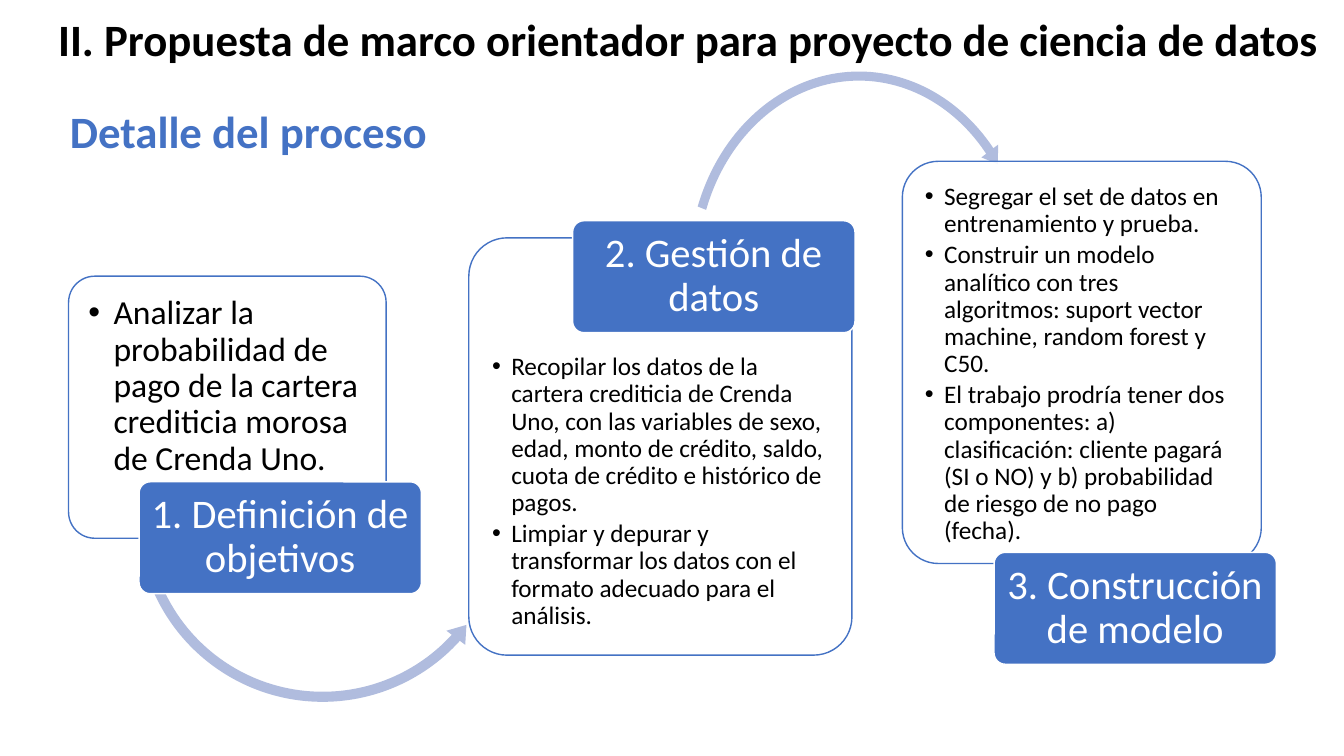
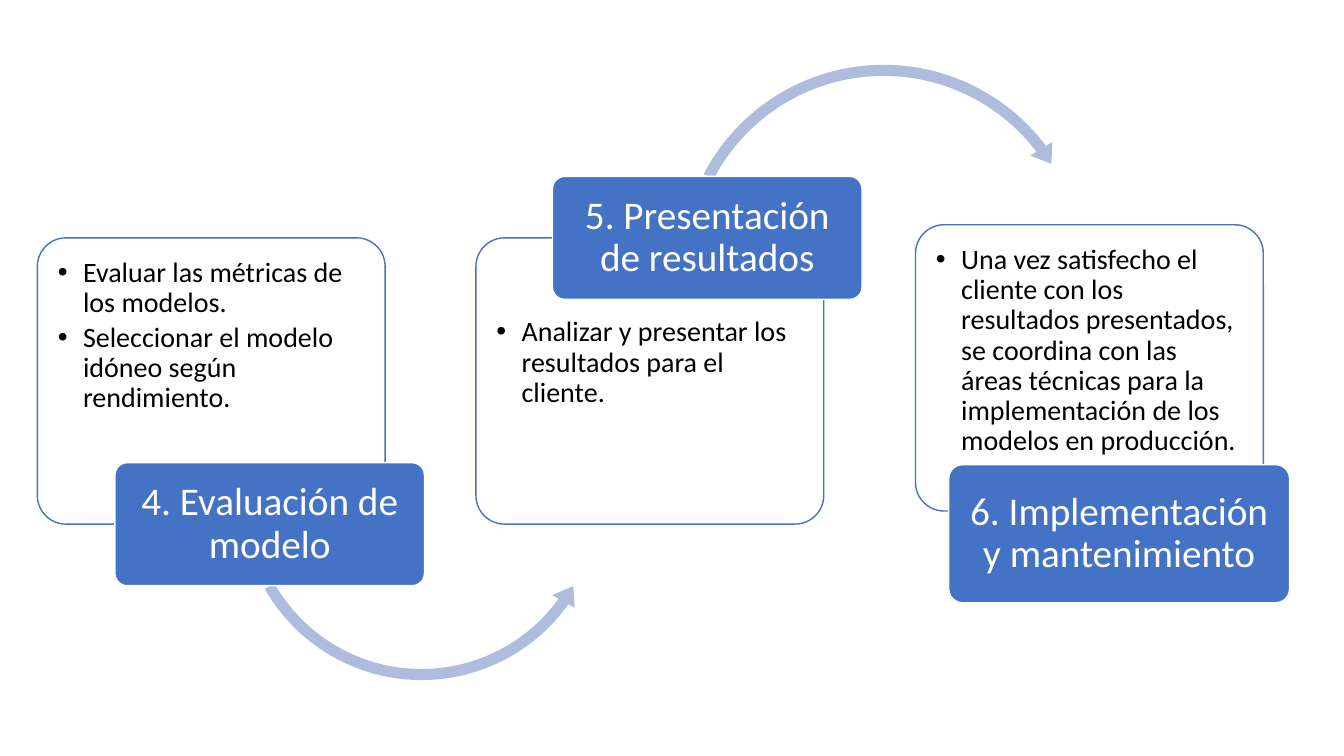
from dataclasses import dataclass

from lxml import etree
from pptx import Presentation
from pptx.dml.color import RGBColor
from pptx.enum.shapes import MSO_SHAPE
from pptx.enum.text import MSO_ANCHOR, PP_ALIGN
from pptx.oxml.ns import qn
from pptx.util import Inches, Pt

ROUNDED = MSO_SHAPE.ROUNDED_RECTANGLE
ARC_OVER = MSO_SHAPE.CIRCULAR_ARROW
ARC_UNDER = MSO_SHAPE.LEFT_CIRCULAR_ARROW
TOP = MSO_ANCHOR.TOP
MIDDLE = MSO_ANCHOR.MIDDLE
LEFT = PP_ALIGN.LEFT
CENTER = PP_ALIGN.CENTER


@dataclass(frozen=True)
class Theme:
    font: str = "Calibri"
    ink: RGBColor = RGBColor(0x00, 0x00, 0x00)
    paper: RGBColor = RGBColor(0xFF, 0xFF, 0xFF)
    accent: RGBColor = RGBColor(0x44, 0x72, 0xC4)
    arc: RGBColor = RGBColor(0xB0, 0xBC, 0xDE)
    heading_size: int = 32
    card_opacity: int = 90
    corner: float = 0.1
    line_spacing: float = 0.9
    paragraph_gap: float = 0.15
    outline: int = 1


THEME = Theme()
CARD_MARGIN = 0.12
TEXT_GAP = 0.1
HEAD_RATIO = 7 / 6
DEGREE_UNIT = 0.6


@dataclass(frozen=True)
class Arc:
    kind: int
    place: tuple
    thickness: float
    head_angle: float
    end: float
    start: float


@dataclass(frozen=True)
class Stage:
    title: str
    label: tuple
    label_size: int
    card: tuple
    points: tuple
    point_size: int
    indent: float
    arc: Arc | None = None


OPENING = (
    Stage("1. Definición de objetivos", (1.38, 4.78, 2.8, 1.11), 29,
          (0.68, 2.74, 3.15, 2.6),
          ("Analizar la probabilidad de pago de la cartera crediticia morosa "
           "de Crenda Uno.",), 24, 0.25,
          Arc(ARC_UNDER, (1.3, 3.23, 3.8, 3.8), 0.1, 5.33, 42.19, 157.67)),
    Stage("2. Gestión de datos", (5.68, 2.19, 2.8, 1.11), 29,
          (4.65, 2.36, 3.8, 4.14),
          ("Recopilar los datos de la cartera crediticia de Crenda Uno, con las "
           "variables de sexo, edad, monto de crédito, saldo, cuota de crédito "
           "e histórico de pagos.",
           "Limpiar y depurar y transformar los datos con el formato adecuado "
           "para el análisis."), 18, 0.19,
          Arc(ARC_OVER, (6.77, 0.65, 3.5, 4.07), 0.09, 4.95, 317.55, 201.68)),
    Stage("3. Construcción de modelo", (9.86, 5.48, 2.8, 1.11), 29,
          (8.95, 1.6, 3.56, 3.99),
          ("Segregar el set de datos en entrenamiento y prueba.",
           "Construir un modelo analítico con tres algoritmos: suport vector "
           "machine, random forest y C50.",
           "El trabajo prodría tener dos componentes: a) clasificación: cliente "
           "pagará (SI o NO) y b) probabilidad de riesgo de no pago (fecha)."),
          18, 0.19),
)

CLOSING = (
    Stage("4. Evaluación de modelo", (1.14, 4.59, 3.07, 1.22), 28,
          (0.37, 2.36, 3.45, 2.84),
          ("Evaluar las métricas de los modelos.",
           "Seleccionar el modelo idóneo según rendimiento."), 20, 0.25,
          Arc(ARC_UNDER, (2.32, 3.1, 3.72, 3.72), 0.11, 5.96, 35.55, 150.41)),
    Stage("5. Presentación de resultados", (5.48, 1.75, 3.07, 1.22), 28,
          (4.72, 2.36, 3.45, 2.84),
          ("Analizar y presentar los resultados para el cliente.",), 20, 0.25,
          Arc(ARC_OVER, (6.68, 0.57, 4.17, 4.17), 0.11, 5.27, 322.99, 207.44)),
    Stage("6. Implementación y mantenimiento", (9.41, 4.61, 3.38, 1.37), 28,
          (9.08, 2.23, 3.45, 2.84),
          ("Una vez satisfecho el cliente con los resultados presentados, se "
           "coordina con las áreas técnicas para la implementación de los "
           "modelos en producción.",), 20, 0.25),
)


def apply_format(target, values):
    for name, value in values.items():
        setattr(target, name, value)


def inches(values):
    return [Inches(value) for value in values]


def add_figure(page, kind, place, fill, line=None):
    shape = page.shapes.add_shape(kind, *inches(place))
    shape.shadow.inherit = False
    shape.fill.solid()
    shape.fill.fore_color.rgb = fill
    if line is None:
        shape.line.fill.background()
    else:
        shape.line.color.rgb = line
        shape.line.width = Pt(THEME.outline)
    return shape


def add_rounded(page, place, fill, line):
    shape = add_figure(page, ROUNDED, place, fill, line)
    shape.adjustments[0] = THEME.corner
    return shape


def set_margins(frame, left, top, right, bottom):
    names = ("margin_left", "margin_top", "margin_right", "margin_bottom")
    apply_format(frame, dict(zip(names, inches((left, top, right, bottom)))))


def write_text(frame, texts, size, color, align, bold=False, spacing=1.0):
    frame.word_wrap = True
    for index, text in enumerate(texts):
        para = frame.paragraphs[0] if index == 0 else frame.add_paragraph()
        apply_format(para, {
            "alignment": align,
            "line_spacing": spacing,
            "space_after": Pt(size * THEME.paragraph_gap),
        })
        span = para.add_run()
        span.text = text
        apply_format(span.font, {"name": THEME.font, "size": Pt(size), "bold": bold})
        span.font.color.rgb = color


def set_bullet(para, indent):
    properties = para._p.get_or_add_pPr()
    properties.set("marL", str(Inches(indent)))
    properties.set("indent", str(-Inches(indent)))
    etree.SubElement(properties, qn("a:buFont"), typeface="Arial")
    etree.SubElement(properties, qn("a:buChar"), char="•")


def set_opacity(shape, percent):
    color = shape._element.spPr.find(qn("a:solidFill")).find(qn("a:srgbClr"))
    etree.SubElement(color, qn("a:alpha"), val=str(percent * 1000))


def add_heading(page, place, text, color):
    box = page.shapes.add_textbox(*inches(place))
    write_text(box.text_frame, [text], THEME.heading_size, color, CENTER, bold=True)


def add_card(page, stage):
    card = add_rounded(page, stage.card, THEME.paper, THEME.accent)
    set_opacity(card, THEME.card_opacity)
    card_top = stage.card[1]
    label_top, label_height = stage.label[1], stage.label[3]
    top = CARD_MARGIN
    if label_top < card_top:
        top = label_top + label_height - card_top + TEXT_GAP
    frame = card.text_frame
    frame.vertical_anchor = TOP
    set_margins(frame, CARD_MARGIN, top, CARD_MARGIN, 0)
    write_text(frame, stage.points, stage.point_size, THEME.ink, LEFT,
               spacing=THEME.line_spacing)
    for para in frame.paragraphs:
        set_bullet(para, stage.indent)


def add_arc(page, arc):
    shape = add_figure(page, arc.kind, arc.place, THEME.arc)
    thickness = arc.thickness / min(arc.place[2:])
    angles = [angle * DEGREE_UNIT for angle in (arc.head_angle, arc.end, arc.start)]
    for index, value in enumerate([thickness, *angles, thickness * HEAD_RATIO]):
        shape.adjustments[index] = value


def add_label(page, stage):
    label = add_rounded(page, stage.label, THEME.accent, THEME.paper)
    frame = label.text_frame
    frame.vertical_anchor = MIDDLE
    set_margins(frame, 0.06, 0.04, 0.06, 0.04)
    write_text(frame, [stage.title], stage.label_size, THEME.paper, CENTER,
               spacing=THEME.line_spacing)


def add_process(deck, stages):
    page = deck.slides.add_slide(deck.slide_layouts[6])
    for stage in stages:
        add_card(page, stage)
        if stage.arc:
            add_arc(page, stage.arc)
        add_label(page, stage)
    return page


def main():
    deck = Presentation()
    apply_format(deck, {"slide_width": Inches(13.33), "slide_height": Inches(7.5)})
    page = add_process(deck, OPENING)
    add_heading(page, (0.33, 0.07, 13, 0.64),
                "II. Propuesta de marco orientador para proyecto de ciencia de datos",
                THEME.ink)
    add_heading(page, (0.46, 0.98, 4.01, 0.64), "Detalle del proceso", THEME.accent)
    add_process(deck, CLOSING)
    deck.save("out.pptx")


if __name__ == "__main__":
    main()
